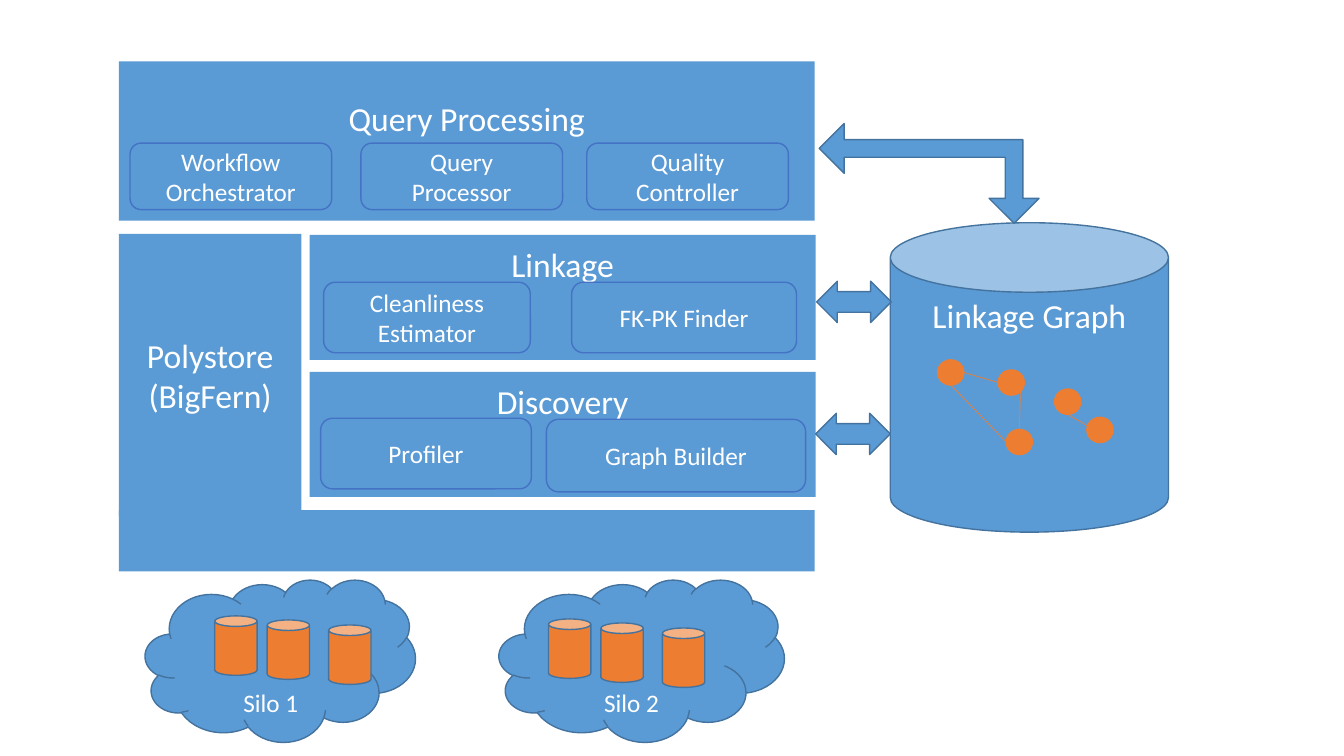
from dataclasses import dataclass

from lxml.etree import SubElement
from pptx import Presentation
from pptx.dml.color import RGBColor
from pptx.enum.shapes import MSO_CONNECTOR as Link, MSO_SHAPE as Kind
from pptx.enum.text import MSO_ANCHOR as Anchor, PP_ALIGN as Align
from pptx.oxml.ns import qn
from pptx.util import Inches, Pt


@dataclass(frozen=True)
class Theme:
    """Colours, font and type sizes of the slide."""
    blue: str = "5B9BD5"
    orange: str = "ED7D31"
    outline: str = "43739E"
    module_edge: str = "4472C4"
    white: str = "FFFFFF"
    font: str = "Calibri"
    heading: int = 24
    label: int = 18
    edge: float = 1
    thread: float = 0.5


THEME = Theme()
COLUMNS, ROWS = 133.3, 75
CELL = Inches(0.1)


def cells(*counts):
    """Convert counts of grid cells to lengths."""
    return [round(count * CELL) for count in counts]


def write(shape, text, size=THEME.label, anchor=Anchor.MIDDLE, top=0.5, bottom=0.5):
    """Write centred text into a shape, one paragraph per line."""
    frame = shape.text_frame
    frame.word_wrap = True
    frame.vertical_anchor = anchor
    frame.margin_top, frame.margin_bottom = cells(top, bottom)
    for index, line in enumerate(text.split("\n")):
        paragraph = frame.paragraphs[0] if index == 0 else frame.add_paragraph()
        paragraph.alignment = Align.CENTER
        run = paragraph.add_run()
        run.text = line
        run.font.name = THEME.font
        run.font.size = Pt(size)
        run.font.color.rgb = RGBColor.from_string(THEME.white)


def block(slide, kind, box, fill=THEME.blue, edge=THEME.outline):
    """Add a filled preset shape on the grid, outlined if an edge colour is given."""
    shape = slide.shapes.add_shape(kind, *cells(*box))
    shape.shadow.inherit = False
    shape.fill.solid()
    shape.fill.fore_color.rgb = RGBColor.from_string(fill)
    if edge:
        shape.line.color.rgb = RGBColor.from_string(edge)
        shape.line.width = Pt(THEME.edge)
    else:
        shape.line.fill.background()
    return shape


def layer(slide, title, box, top):
    """Add a layer with its title near the top."""
    panel = block(slide, Kind.RECTANGLE, box, edge=None)
    write(panel, title, size=THEME.heading, anchor=Anchor.TOP, top=top, bottom=0)


def module(slide, name, box):
    """Add a rounded module box."""
    write(block(slide, Kind.ROUNDED_RECTANGLE, box, edge=THEME.module_edge), name)


def silo(slide, name, cloud, first_store):
    """Add a cloud with its name and three data stores."""
    write(block(slide, Kind.CLOUD, cloud), name, anchor=Anchor.TOP, top=8.3, bottom=0)
    left, top = first_store
    for across, down in ((0, 0), (5.2, 0.4), (11.3, 0.9)):
        block(slide, Kind.CAN, (left + across, top + down, 4.2, 5.9), fill=THEME.orange)


def thread(slide, start, end):
    """Add a thin line between two grid points."""
    line = slide.shapes.add_connector(Link.STRAIGHT, *cells(*start, *end))
    line.line.color.rgb = RGBColor.from_string(THEME.orange)
    line.line.width = Pt(THEME.thread)
    SubElement(line._element.spPr, qn("a:effectLst"))


def linkage_graph(slide):
    """Add the graph store with its nodes and threads."""
    store = block(slide, Kind.CAN, (88.3, 22.1, 27.6, 30.7))
    write(store, "Linkage Graph", size=THEME.heading, anchor=Anchor.TOP, top=0.3)
    width, height = 2.6, 2.5
    nodes = {"A": (93, 35.7), "B": (99, 36.7), "C": (99.8, 42.6),
             "D": (104.6, 38.6), "E": (107.8, 41.4)}
    for left, top in nodes.values():
        block(slide, Kind.OVAL, (left, top, width, height),
              fill=THEME.orange, edge=THEME.orange)
    sides = {"top": (0.5, 0), "left": (0, 0.5), "bottom": (0.5, 1),
             "right": (1, 0.5), "corner": (0.85, 0.85)}

    def point(node, side):
        """Find a point on the rim of a node."""
        (left, top), (across, down) = nodes[node], sides[side]
        return left + across * width, top + down * height

    for start, end in ((("A", "bottom"), ("C", "left")), (("A", "right"), ("B", "left")),
                       (("B", "corner"), ("C", "top")), (("D", "bottom"), ("E", "corner"))):
        thread(slide, point(*start), point(*end))


def exchange_arrows(slide):
    """Add the arrows between the layers and the graph store."""
    bend = block(slide, Kind.LEFT_UP_ARROW, (87.2, 6.3, 9.9, 21.8))
    bend.rotation = 270
    for index, share in enumerate((0.176, 0.25, 0.25)):
        bend.adjustments[index] = share
    for left, top in ((81, 27.9), (80.9, 41)):
        block(slide, Kind.LEFT_RIGHT_ARROW, (left, top, 7.4, 4.1))


def main():
    """Build the architecture slide and save it."""
    deck = Presentation()
    deck.slide_width, deck.slide_height = cells(COLUMNS, ROWS)
    slide = deck.slides.add_slide(deck.slide_layouts[6])

    silo(slide, "Silo 1", (14.4, 57.5, 26.8, 16.1), (21.3, 61.1))
    silo(slide, "Silo 2", (49.5, 57.5, 28.3, 16.1), (54.4, 61.4))
    linkage_graph(slide)

    polystore = block(slide, Kind.RECTANGLE, (11.8, 23.2, 18.1, 28), edge=None)
    write(polystore, "Polystore\n(BigFern)", size=THEME.heading)
    block(slide, Kind.RECTANGLE, (11.8, 50.6, 69, 6.1), edge=None)

    layer(slide, "Query Processing", (11.8, 6.1, 69, 15.8), top=3.6)
    for name, left in (("Workflow Orchestrator", 12.9), ("Query\nProcessor", 35.8),
                       ("Quality Controller", 58.2)):
        module(slide, name, (left, 14.2, 20, 6.6))
    layer(slide, "Linkage", (30.7, 23.3, 50.2, 12.4), top=0.9)
    module(slide, "Cleanliness Estimator", (32.1, 28, 20.5, 7))
    module(slide, "FK-PK Finder", (56.7, 28, 22.3, 7))
    layer(slide, "Discovery", (30.7, 36.9, 50.2, 12.4), top=0.9)
    module(slide, "Profiler", (31.8, 41.5, 20.9, 7))
    module(slide, "Graph Builder", (54.2, 41.6, 25.7, 7.2))

    exchange_arrows(slide)
    deck.save("out.pptx")


if __name__ == "__main__":
    main()
